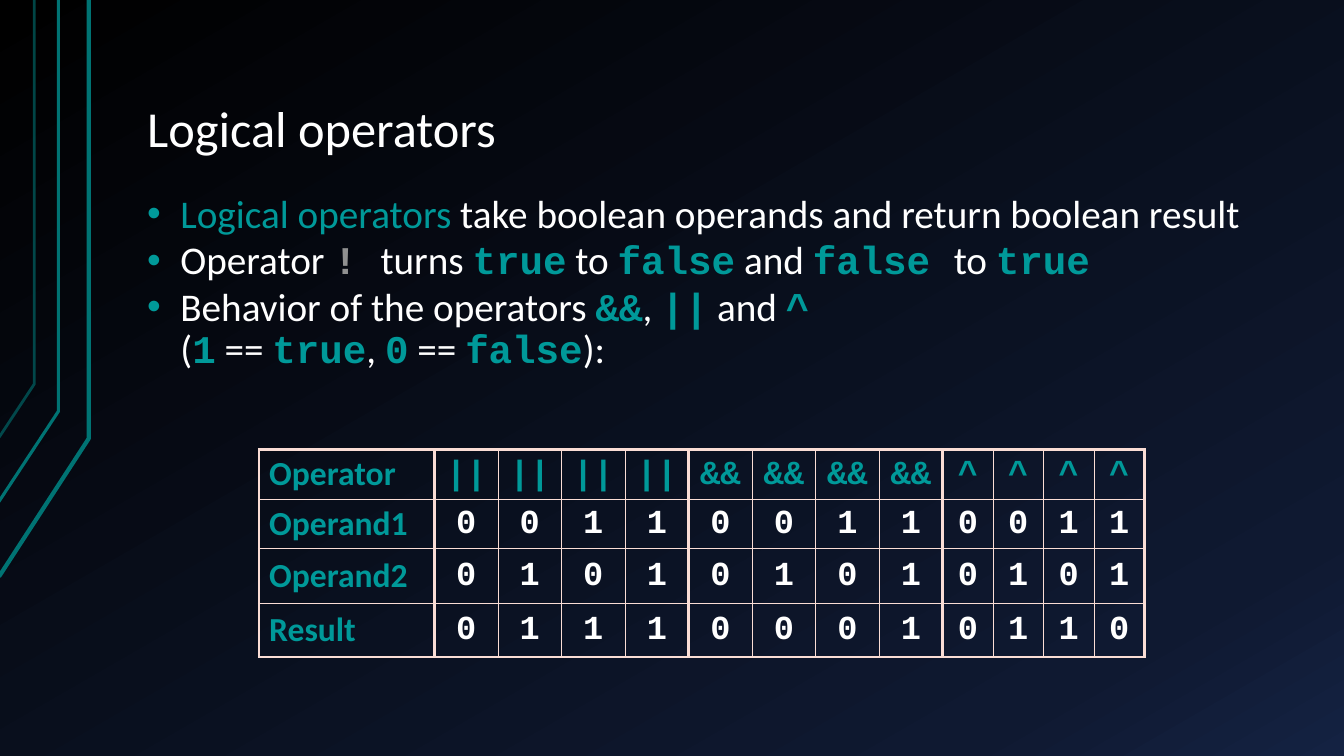
from copy import deepcopy
from dataclasses import dataclass, field

from lxml import etree
from pptx import Presentation
from pptx import util as u
from pptx.dml.color import RGBColor
from pptx.enum import text
from pptx.oxml.ns import qn

PX = 9144


@dataclass(frozen=True)
class Theme:
    stripe: str = "007373"
    accent: str = "009999"
    border: str = "FADDD5"
    backdrop: tuple = ((0, "000000"), (0.85, "0F1931"), (1, "142242"))
    title_size: int = 36
    body_size: int = 28
    table_size: int = 24
    thin: float = 0.25
    thick: float = 2.25
    styles: dict = field(default_factory=lambda: {
        "plain": ("Calibri", "FFFFFF", False),
        "term": ("Calibri", "009999", False),
        "label": ("Calibri", "009999", True),
        "code": ("Courier New", "009999", True),
        "muted": ("Courier New", "909090", True),
        "digit": ("Courier New", "FFFFFF", True),
    })


def add_xml(parent, tag, **attrs):
    return etree.SubElement(parent, qn(tag), attrs)


class Deck:
    def __init__(self, theme, width, height):
        self.theme = theme
        self.prs = Presentation()
        self.prs.slide_width = width * PX
        self.prs.slide_height = height * PX
        self.s = self.prs.slides.add_slide(self.prs.slide_layouts[6])

    def background(self, angle):
        fill = self.s.background.fill
        fill.gradient()
        fill.gradient_angle = 360 - angle
        stops = next(self.s.element.iter(qn("a:gsLst")))
        stops.append(deepcopy(stops[0]))
        for stop, (position, color) in zip(fill.gradient_stops, self.theme.backdrop):
            stop.position = position
            stop.color.rgb = RGBColor.from_string(color)

    def stripe(self, points, weight, opacity):
        builder = self.s.shapes.build_freeform(*points[0], scale=PX)
        builder.add_line_segments(points[1:], close=False)
        sp = builder.convert_to_shape()
        sp.shadow.inherit = False
        sp.fill.background()
        sp.line.width = u.Pt(weight)
        sp.line.color.rgb = RGBColor.from_string(self.theme.stripe)
        if opacity < 100:
            color = next(sp.line._get_or_add_ln().iter(qn("a:srgbClr")))
            add_xml(color, "a:alpha", val=str(opacity * 1000))

    def runs(self, p, parts, size):
        for content, style in parts:
            if content == "\n":
                p.add_line_break()
                continue
            r = p.add_run()
            r.text = content
            font, color, bold = self.theme.styles[style]
            r.font.name = font
            r.font.size = u.Pt(size)
            r.font.bold = bold
            r.font.color.rgb = RGBColor.from_string(color)

    def textbox(self, box, paragraphs, size, anchor, bullets=False):
        tf = self.s.shapes.add_textbox(*(v * PX for v in box)).text_frame
        tf.word_wrap = True
        tf.vertical_anchor = anchor
        tf.margin_left = tf.margin_right = 13 * PX
        tf.margin_top = tf.margin_bottom = 7 * PX
        for i, parts in enumerate(paragraphs):
            p = tf.add_paragraph() if i else tf.paragraphs[0]
            p.line_spacing = 0.9
            if bullets:
                p.space_before = u.Pt(3)
                self.bullet(p, 33)
            self.runs(p, parts, size)

    def bullet(self, p, indent):
        props = p._p.get_or_add_pPr()
        props.set("marL", str(indent * PX))
        props.set("indent", str(-indent * PX))
        add_xml(add_xml(props, "a:buClr"), "a:srgbClr", val=self.theme.accent)
        add_xml(props, "a:buFont", typeface="Arial")
        add_xml(props, "a:buChar", char="•")

    def table(self, left, top, widths, heights, rows, group_starts):
        frame = self.s.shapes.add_table(
            len(rows), len(widths), left * PX, top * PX,
            sum(widths) * PX, sum(heights) * PX)
        table = frame.table
        table.first_row = table.horz_banding = False
        for column, width in zip(table.columns, widths):
            column.width = width * PX
        for row, height in zip(table.rows, heights):
            row.height = height * PX
        for i, (label, values) in enumerate(rows):
            for j, value in enumerate([label, *values]):
                cell = table.cell(i, j)
                style = "label" if j == 0 else "code" if i == 0 else "digit"
                self.cell(cell, value, style)
                self.borders(cell, {
                    "L": j in group_starts,
                    "R": j + 1 in group_starts,
                    "T": i == 0,
                    "B": i + 1 == len(rows),
                })

    def cell(self, cell, value, style):
        cell.fill.background()
        cell.vertical_anchor = text.MSO_ANCHOR.MIDDLE
        p = cell.text_frame.paragraphs[0]
        p.line_spacing = 0.95
        if style != "label":
            p.alignment = text.PP_ALIGN.CENTER
            cell.margin_left = cell.margin_right = 4 * PX
            cell.margin_top = cell.margin_bottom = 4 * PX
        self.runs(p, [(value, style)], self.theme.table_size)

    def borders(self, cell, sides):
        props = cell._tc.get_or_add_tcPr()
        for i, (side, heavy) in enumerate(sides.items()):
            weight = self.theme.thick if heavy else self.theme.thin
            ln = add_xml(props, f"a:ln{side}", w=str(int(u.Pt(weight))))
            add_xml(add_xml(ln, "a:solidFill"), "a:srgbClr", val=self.theme.border)
            props.insert(i, ln)


def main():
    theme = Theme()
    deck = Deck(theme, 1333, 750)
    deck.background(60)
    deck.stripe([(-1, 572), (88, 435), (88, 0)], 3, 100)
    deck.stripe([(-2, 499), (58, 408), (58, 0)], 2.25, 100)
    deck.stripe([(-1, 434), (34, 381), (34, 0)], 2, 60)

    deck.textbox((133, 30, 1133, 134), [[("Logical operators", "plain")]],
                 theme.title_size, text.MSO_ANCHOR.BOTTOM)
    deck.textbox((133, 186, 1133, 197), [
        [("Logical operators ", "term"),
         ("take boolean operands and return boolean result", "plain")],
        [("Operator ", "plain"), ("! ", "muted"), ("turns ", "plain"),
         ("true", "code"), (" to ", "plain"), ("false", "code"),
         (" and ", "plain"), ("false ", "code"), ("to ", "plain"),
         ("true", "code")],
        [("Behavior of the operators ", "plain"), ("&&", "code"),
         (", ", "plain"), ("||", "code"), (" and ", "plain"),
         ("^ ", "code"), ("\n", "plain"), ("(", "plain"), ("1", "code"),
         (" == ", "plain"), ("true", "code"), (", ", "plain"),
         ("0", "code"), (" == ", "plain"), ("false", "code"),
         ("):", "plain")],
    ], theme.body_size, text.MSO_ANCHOR.TOP, bullets=True)

    deck.table(257, 446, [174] + [63] * 8 + [50] * 4, [49, 49, 54, 54], [
        ("Operator", ["||"] * 4 + ["&&"] * 4 + ["^"] * 4),
        ("Operand1", "0011" * 3),
        ("Operand2", "0101" * 3),
        ("Result", "0111" + "0001" + "0110"),
    ], group_starts={0, 1, 5, 9, 13})
    deck.prs.save("out.pptx")


if __name__ == "__main__":
    main()
